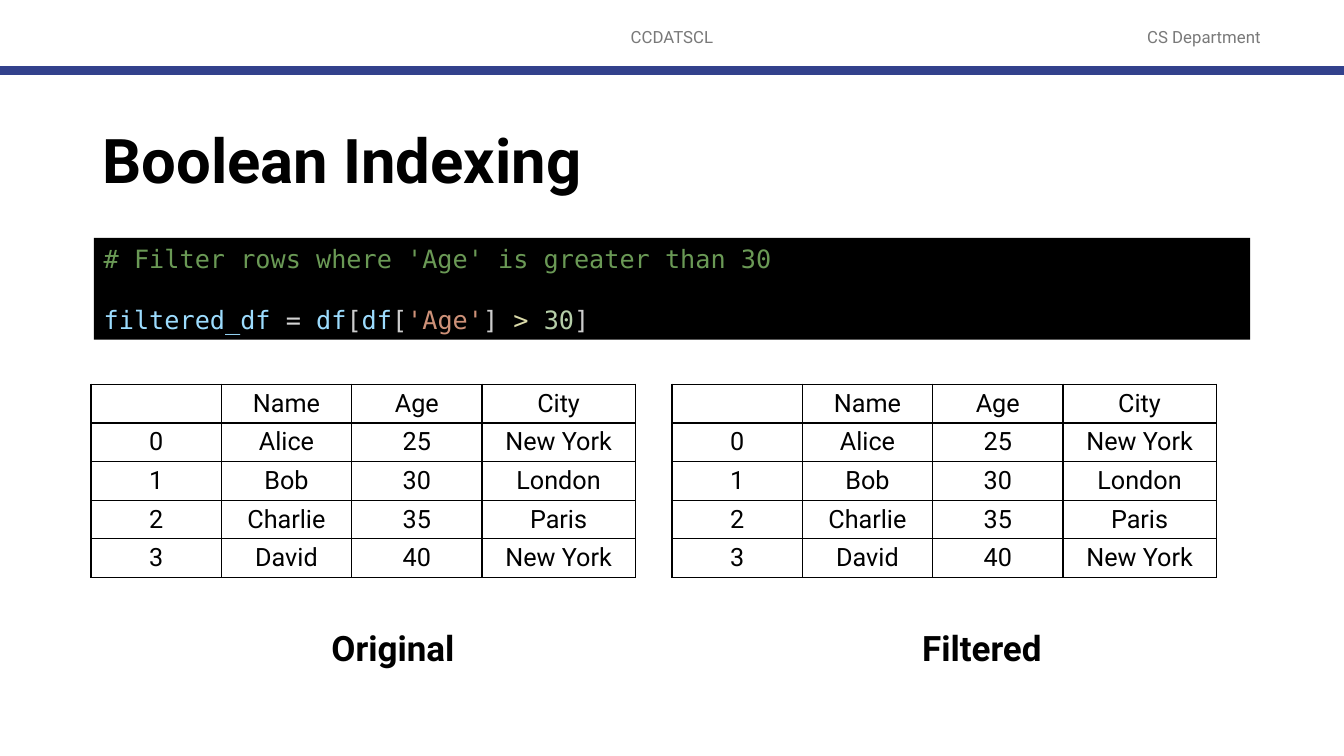
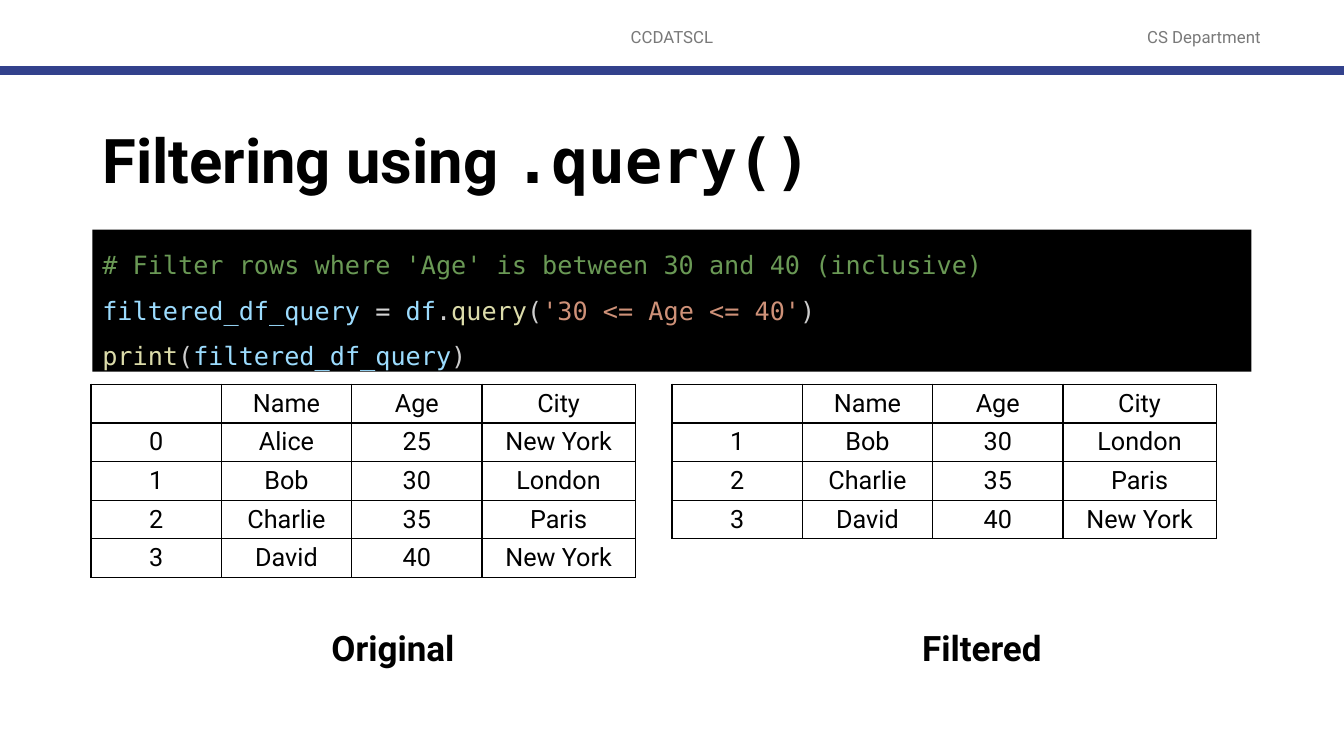
from lxml import etree
from pptx import Presentation
from pptx.dml.color import RGBColor
from pptx.enum.shapes import MSO_CONNECTOR, MSO_SHAPE
from pptx.enum.text import MSO_ANCHOR, PP_ALIGN
from pptx.oxml.ns import qn
from pptx.util import Pt

LEFT, CENTER = PP_ALIGN.LEFT, PP_ALIGN.CENTER
TOP, MIDDLE = MSO_ANCHOR.TOP, MSO_ANCHOR.MIDDLE
RECT, STRAIGHT = MSO_SHAPE.RECTANGLE, MSO_CONNECTOR.STRAIGHT


class Theme:
    wide, high = 960, 540
    sans, mono = "Roboto", "DejaVu Sans Mono"
    black, band = "000000", "32418C"
    title, label, body, small = 44, 25, 18, 12
    # Each kind of run has a font and a colour
    kinds = {
        "plain": (sans, black),
        "head": (sans, "797979"),
        "call": (mono, black),
        "note": (mono, "6A9955"),
        "var": (mono, "9CDCFE"),
        "op": (mono, "D4D4D4"),
        "mark": (mono, "CCCCCC"),
        "str": (mono, "CE9178"),
        "func": (mono, "DCDCAA"),
        "num": (mono, "B5CEA8"),
    }


HEADS = [
    ("CCDATSCL", (318, 12, 324, 29)),
    ("CS Department", (786, 12, 148, 29)),
]
LABELS = [("Original", 229.7), ("Filtered", 651.6)]
FIELDS = ("", "Name", "Age", "City")
PEOPLE = [
    ("0", "Alice", "25", "New York"),
    ("1", "Bob", "30", "London"),
    ("2", "Charlie", "35", "Paris"),
    ("3", "David", "40", "New York"),
]
SLIDES = [
    {
        "title": [("Boolean Indexing", "plain")],
        "box": (67, 170, 826, 72.7),
        "format": {"gap": 22},
        "code": [
            [("# Filter rows where 'Age' is greater than 30", "note")],
            [("filtered_df ", "var"), ("= ", "op"), ("df", "var"),
             ("[", "mark"), ("df", "var"), ("[", "mark"), ("'Age'", "str"),
             ("] ", "mark"), ("> ", "func"), ("30", "num"), ("]", "mark")],
        ],
        "tables": (PEOPLE, PEOPLE),
    },
    {
        "title": [("Filtering using ", "plain"), (".query()", "call")],
        "box": (66, 164, 828, 101.5),
        "format": {"spacing": 1.5},
        "code": [
            [("# Filter rows where 'Age' is between 30 and 40 (inclusive)",
              "note")],
            [("filtered_df_query ", "var"), ("= ", "op"), ("df", "var"),
             (".", "mark"), ("query", "func"), ("(", "mark"),
             ("'30 <= Age <= 40'", "str"), (")", "mark")],
            [("print", "func"), ("(", "mark"),
             ("filtered_df_query", "var"), (")", "mark")],
        ],
        "tables": (PEOPLE, PEOPLE[1:]),
    },
]

COLS = (93.1, 93.1, 93.1, 109.5)
ROW = 27.6
TABLE_TOP, TABLE_LEFTS = 274.5, (65, 480)


def rgb(code):
    return RGBColor.from_string(code)


def pts(nums):
    return [Pt(num) for num in nums]


def write(frame, lines, size=Theme.body, bold=False, align=LEFT, anchor=TOP,
          spacing=1.0, gap=0):
    """Fill a frame with lines, each a list of (text, kind) runs."""
    frame.word_wrap = True
    frame.vertical_anchor = anchor
    for i, line in enumerate(lines):
        para = frame.add_paragraph() if i else frame.paragraphs[0]
        para.alignment = align
        para.line_spacing = spacing
        if i and gap:
            para.space_before = Pt(gap)
        for text, kind in line:
            run = para.add_run()
            run.text = text
            font = run.font
            font.name, hue = Theme.kinds[kind]
            font.color.rgb = rgb(hue)
            font.size, font.bold = Pt(size), bold


def add_text(slide, box, lines, **style):
    write(slide.shapes.add_textbox(*pts(box)).text_frame, lines, **style)


def add_head(slide):
    for text, box in HEADS:
        add_text(slide, box, [[(text, "head")]], size=Theme.small,
                 align=CENTER, anchor=MIDDLE)
    band = slide.shapes.add_connector(
        STRAIGHT, *pts((0, 50.5, Theme.wide, 50.5)))
    band.line.color.rgb = rgb(Theme.band)
    band.line.width = Pt(6)
    etree.SubElement(band._element.spPr, qn("a:effectLst"))


def add_code(slide, box, lines, style):
    panel = slide.shapes.add_shape(RECT, *pts(box))
    panel.shadow.inherit = False
    panel.fill.solid()
    panel.fill.fore_color.rgb = rgb(Theme.black)
    panel.line.fill.background()
    write(panel.text_frame, lines, **style)


def rule(cell):
    """Draw a thin line on all four sides of a cell."""
    props = cell._tc.get_or_add_tcPr()
    for i, side in enumerate("LRTB"):
        line = etree.Element(qn(f"a:ln{side}"), w=str(Pt(1)))
        fill = etree.SubElement(line, qn("a:solidFill"))
        etree.SubElement(fill, qn("a:srgbClr"), val=Theme.black)
        props.insert(i, line)


def add_grid(slide, left, people):
    rows = [FIELDS, *people]
    box = (left, TABLE_TOP, sum(COLS), ROW * len(rows))
    table = slide.shapes.add_table(len(rows), len(COLS), *pts(box)).table
    table.first_row = table.horz_banding = False
    for col, width in zip(table.columns, COLS):
        col.width = Pt(width)
    for r, row in enumerate(rows):
        table.rows[r].height = Pt(ROW)
        for c, text in enumerate(row):
            cell = table.cell(r, c)
            cell.margin_left = cell.margin_right = Pt(5.6)
            cell.margin_top = cell.margin_bottom = Pt(2.8)
            cell.vertical_anchor = MIDDLE
            cell.fill.background()
            rule(cell)
            if text:
                write(cell.text_frame, [[(text, "plain")]], align=CENTER)


def main():
    deck = Presentation()
    deck.slide_width, deck.slide_height = pts((Theme.wide, Theme.high))
    for page in SLIDES:
        slide = deck.slides.add_slide(deck.slide_layouts[6])
        add_head(slide)
        add_text(slide, (66, 65, 828, 104), [page["title"]],
                 size=Theme.title, bold=True, anchor=MIDDLE, spacing=0.9)
        add_code(slide, page["box"], page["code"], page["format"])
        for left, people in zip(TABLE_LEFTS, page["tables"]):
            add_grid(slide, left, people)
        for text, left in LABELS:
            add_text(slide, (left, 444.3, 110, 37.4), [[(text, "plain")]],
                     size=Theme.label, bold=True)
    deck.save("out.pptx")


if __name__ == "__main__":
    main()
